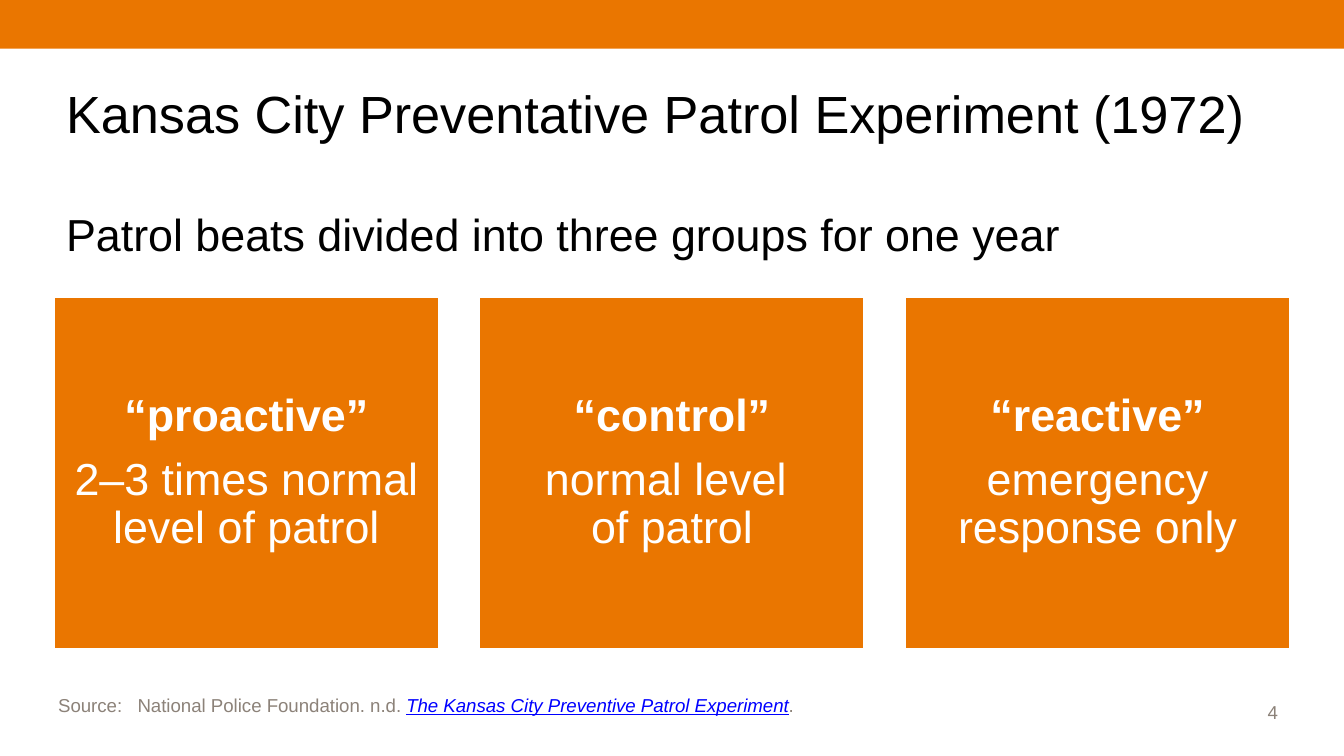
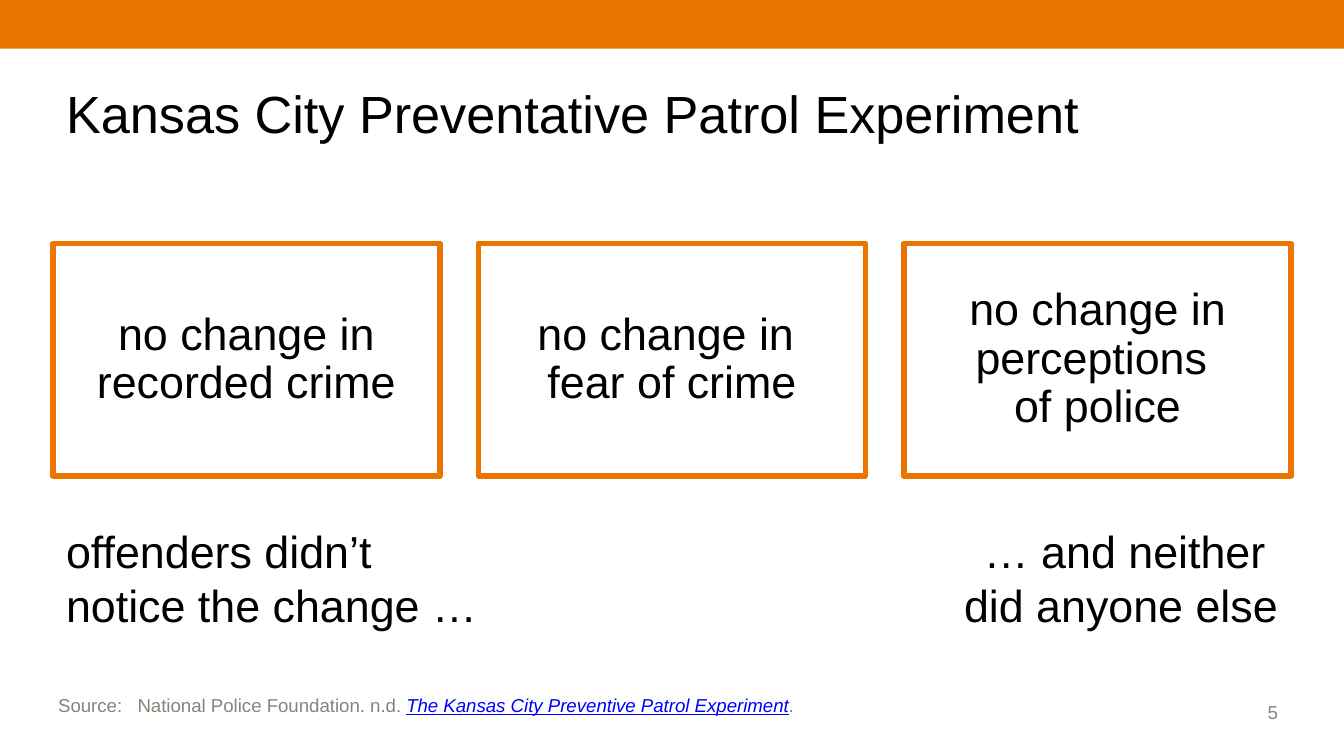
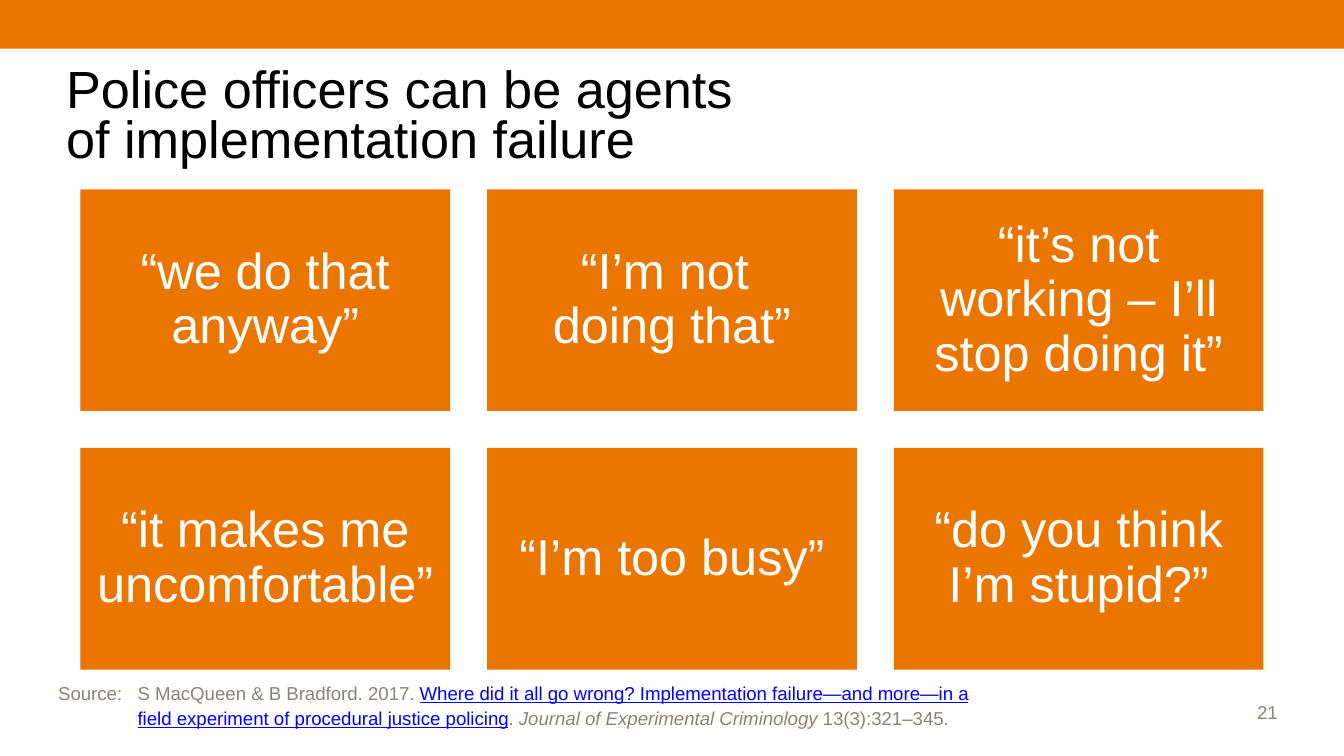
import lxml.etree
import pptx
import pptx.dml.color
import pptx.enum.shapes
import pptx.enum.text
import pptx.oxml.ns
import pptx.util

Cm = pptx.util.Cm
Pt = pptx.util.Pt
Align = pptx.enum.text.PP_ALIGN
Anchor = pptx.enum.text.MSO_ANCHOR
qn = pptx.oxml.ns.qn

COLORS = {
    "orange": "EA7600",
    "white": "FFFFFF",
    "black": "000000",
    "grey": "8C8279",
    "link": "0000FF",
}
FONT = "Arial"
SLIDE_WIDTH, SLIDE_HEIGHT = 25.4, 14.29
MARGIN = 1.0
CONTENT_WIDTH = SLIDE_WIDTH - 2 * MARGIN
GAP_SHARE = 0.1  # gap between cards as a share of card width
COLUMNS = 3
TITLE = "Kansas City Preventative Patrol Experiment"
LINK = {"color": "link", "underline": True}
FOUNDATION_SOURCE = [
    ("Source:\tNational Police Foundation. n.d. ", {}),
    ("The Kansas City Preventive Patrol Experiment", {**LINK, "italic": True}),
    (".", {}),
]
JOURNAL_SOURCE = [
    ("Source:\tS MacQueen & B Bradford. 2017. ", {}),
    ("Where did it all go wrong? Implementation failure—and more—in a "
     "field experiment of procedural justice policing", LINK),
    (". ", {}),
    ("Journal of Experimental Criminology", {"italic": True}),
    (" 13(3):321–345.", {}),
]


def rgb(name):
    return pptx.dml.color.RGBColor.from_string(COLORS[name])


def add_runs(paragraph, runs, size, color):
    """Add (text, style) runs; a newline in the text becomes a line break."""
    for text, style in runs:
        for index, line in enumerate(text.split("\n")):
            if index:
                paragraph.add_line_break()
            run = paragraph.add_run()
            run.text = line
            run.font.name = FONT
            run.font.size = Pt(size)
            run.font.bold = style.get("bold")
            run.font.italic = style.get("italic")
            run.font.underline = style.get("underline")
            run.font.color.rgb = rgb(style.get("color", color))


def write(shape, paragraphs, size, color="black", align=Align.LEFT,
          anchor=Anchor.MIDDLE, line_spacing=None, gap=0, insets=None):
    frame = shape.text_frame
    frame.word_wrap = True
    frame.vertical_anchor = anchor
    if insets is not None:
        frame.margin_left = frame.margin_right = insets
        frame.margin_top = frame.margin_bottom = insets
    for index, runs in enumerate(paragraphs):
        paragraph = frame.add_paragraph() if index else frame.paragraphs[0]
        paragraph.alignment = align
        paragraph.line_spacing = line_spacing
        if index:
            paragraph.space_before = Pt(gap)
        add_runs(paragraph, runs, size, color)


def add_box(slide, box, fill, line=None, line_width=0):
    shape = slide.shapes.add_shape(
        pptx.enum.shapes.MSO_SHAPE.RECTANGLE, *(Cm(length) for length in box))
    shape.shadow.inherit = False
    shape.fill.solid()
    shape.fill.fore_color.rgb = rgb(fill)
    if line:
        shape.line.color.rgb = rgb(line)
        shape.line.width = Pt(line_width)
    else:
        shape.line.fill.background()
    return shape


def add_text(slide, box, text, size, **options):
    shape = slide.shapes.add_textbox(*(Cm(length) for length in box))
    write(shape, [[(text, {})]], size, **options)


def add_source(slide, runs, width):
    shape = add_box(slide, (MARGIN, 12.75, width, 1.12), "white")
    color = shape._element.spPr.find(qn("a:solidFill"))[0]
    lxml.etree.SubElement(color, qn("a:alpha")).set("val", "85000")
    write(shape, [runs], 10, "grey", line_spacing=1.1, insets=Cm(0.1))
    properties = shape.text_frame.paragraphs[0]._p.get_or_add_pPr()
    properties.set("marL", str(Cm(1.5)))
    properties.set("indent", str(-Cm(1.5)))


def add_cards(slide, box, height, cards, size, color, **look):
    """Fill the (left, top, width) box row by row with equal cards."""
    left, top, total_width = box
    width = total_width / (COLUMNS + GAP_SHARE * (COLUMNS - 1))
    gap = width * GAP_SHARE
    for index, paragraphs in enumerate(cards):
        row, column = divmod(index, COLUMNS)
        card = add_box(slide, (left + column * (width + gap),
                               top + row * (height + gap), width, height), **look)
        write(card, paragraphs, size, color, Align.CENTER, line_spacing=0.9,
              gap=0.35 * size, insets=Pt(0.3 * size))


def add_slide(presentation, title, number, source, source_width=21.4):
    slide = presentation.slides.add_slide(presentation.slide_layouts[6])
    add_box(slide, (0, 0, SLIDE_WIDTH, 0.92), "orange")
    add_text(slide, (22.4, 12.67, 2, 1.12), number, 10, color="grey",
             align=Align.RIGHT, anchor=Anchor.BOTTOM)
    add_text(slide, (MARGIN, 1, CONTENT_WIDTH, 2.5), title, 28,
             line_spacing=Pt(27))
    add_source(slide, source, source_width)
    return slide


def build_groups_slide(presentation):
    slide = add_slide(presentation, TITLE + " (1972)", "4", FOUNDATION_SOURCE)
    add_text(slide, (MARGIN, 3.68, CONTENT_WIDTH, 1.5),
             "Patrol beats divided into three groups for one year", 24,
             anchor=Anchor.TOP, line_spacing=1.1)
    groups = [
        ("“proactive”", "2–3 times normal level of patrol"),
        ("“control”", "normal level \nof patrol"),
        ("“reactive”", "emergency response only"),
    ]
    cards = [[[(name, {"bold": True})], [(level, {})]] for name, level in groups]
    add_cards(slide, (MARGIN, 5.59, CONTENT_WIDTH), 6.7, cards, 24, "white",
              fill="orange", line="white", line_width=2)


def build_results_slide(presentation):
    slide = add_slide(presentation, TITLE, "5", FOUNDATION_SOURCE)
    results = ["no change in recorded crime", "no change in \nfear of crime",
               "no change in perceptions \nof police"]
    add_cards(slide, (MARGIN, 4.6, CONTENT_WIDTH), 4.4,
              [[[(result, {})]] for result in results], 24, "black",
              fill="white", line="orange", line_width=3)
    half = CONTENT_WIDTH / 2
    remarks = [("offenders didn’t \nnotice the change …", Align.LEFT),
               ("… and neither \ndid anyone else", Align.RIGHT)]
    for index, (remark, align) in enumerate(remarks):
        add_text(slide, (MARGIN + index * half, 9.1, half, 3.65), remark, 24,
                 align=align)


def build_excuses_slide(presentation):
    slide = add_slide(
        presentation, "Police officers can be agents \nof implementation failure",
        "21", JOURNAL_SOURCE, 17.45)
    excuses = ["“we do that anyway”", "“I’m not \ndoing that”",
               "“it’s not working – I’ll stop doing it”",
               "“it makes me uncomfortable”", "“I’m too busy”",
               "“do you think I’m stupid?”"]
    add_cards(slide, (1.52, 3.58, SLIDE_WIDTH - 2 * 1.52), 4.19,
              [[[(excuse, {})]] for excuse in excuses], 27, "white", fill="orange")


def main():
    presentation = pptx.Presentation()
    presentation.slide_width = Cm(SLIDE_WIDTH)
    presentation.slide_height = Cm(SLIDE_HEIGHT)
    build_groups_slide(presentation)
    build_results_slide(presentation)
    build_excuses_slide(presentation)
    presentation.save("out.pptx")


if __name__ == "__main__":
    main()
